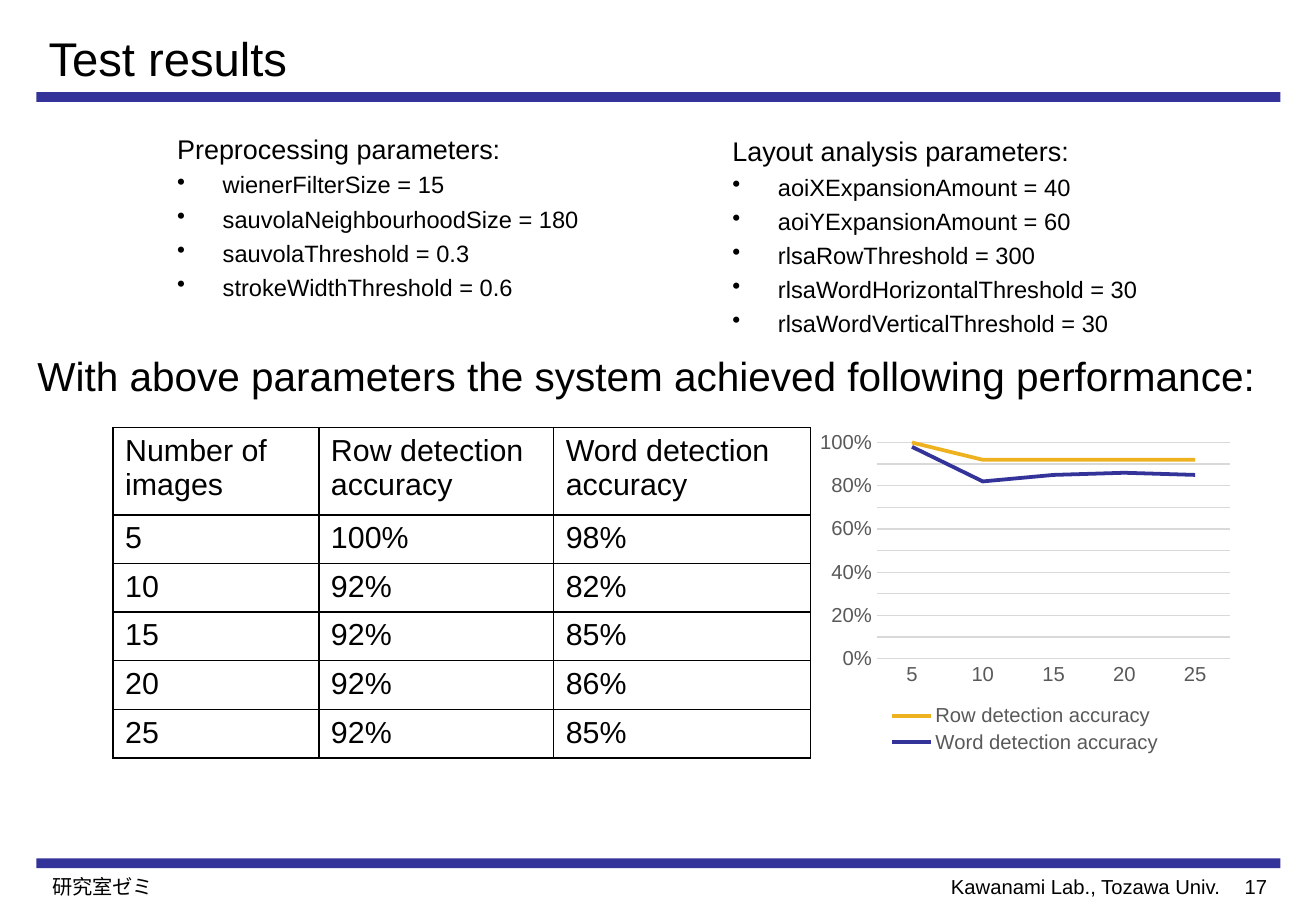
"""Build the test results slide with parameters, a table and a line chart."""
from dataclasses import dataclass

from lxml import etree
from pptx import Presentation
from pptx.chart.data import CategoryChartData
from pptx.dml.color import RGBColor
from pptx.enum.chart import XL_CHART_TYPE, XL_LEGEND_POSITION, XL_MARKER_STYLE, XL_TICK_MARK
from pptx.enum.shapes import MSO_SHAPE
from pptx.enum.text import MSO_ANCHOR, MSO_AUTO_SIZE, PP_ALIGN
from pptx.oxml.ns import qn
from pptx.util import Pt

LINE, BOTTOM = XL_CHART_TYPE.LINE, XL_LEGEND_POSITION.BOTTOM
NO_MARKER, NO_TICK = XL_MARKER_STYLE.NONE, XL_TICK_MARK.NONE
RECTANGLE, NO_AUTOFIT = MSO_SHAPE.RECTANGLE, MSO_AUTO_SIZE.NONE
TOP, MIDDLE = MSO_ANCHOR.TOP, MSO_ANCHOR.MIDDLE
LEFT, RIGHT = PP_ALIGN.LEFT, PP_ALIGN.RIGHT


@dataclass(frozen=True)
class Theme:
    """Colours, font and type sizes of the slide."""
    font: str = "Arial"
    ink: str = "000000"
    bar: str = "333399"
    row_line: str = "EEB220"
    word_line: str = "333399"
    grid: str = "D9D9D9"
    label: str = "595959"
    title: int = 28
    statement: int = 24
    cell: int = 18
    heading: int = 16
    item: int = 14
    small: int = 12


THEME = Theme()
TITLE = "Test results"
STATEMENT = "With above parameters the system achieved following performance:"
PARAMETERS = [
    ((97.9, 74.9, 253.4, 126.7), "Preprocessing parameters:", [
        "wienerFilterSize = 15",
        "sauvolaNeighbourhoodSize = 180",
        "sauvolaThreshold = 0.3",
        "strokeWidthThreshold = 0.6",
    ]),
    ((427, 76.3, 260, 126.7), "Layout analysis parameters:", [
        "aoiXExpansionAmount = 40",
        "aoiYExpansionAmount = 60",
        "rlsaRowThreshold = 300",
        "rlsaWordHorizontalThreshold = 30",
        "rlsaWordVerticalThreshold = 30",
    ]),
]
FOOTERS = [
    ("研究室ゼミ", (23.8, 514.8, 532.8, 21.6), {}),
    ("Kawanami Lab., Tozawa Univ.", (556.6, 514.8, 175, 21.6), {"anchor": MIDDLE, "wrap": False}),
    ("17", (722.9, 514.8, 35.3, 21.6), {"align": RIGHT}),
]
HEADERS = ["Number of images", "Row detection accuracy", "Word detection accuracy"]
RESULTS = [(5, 1, 0.98), (10, 0.92, 0.82), (15, 0.92, 0.85), (20, 0.92, 0.86), (25, 0.92, 0.85)]
COLUMN_WIDTHS = [122, 139.2, 152.4]
HEADER_HEIGHT, ROW_HEIGHT = 51.8, 27.4
BAR_TOPS = [54.6, 508.8]
BULLET_INDENT, SPACE_SHARE = 27, 0.24


def rgb(code):
    """Turn a hex code into a colour."""
    return RGBColor.from_string(code)


def points(lengths):
    """Convert lengths to points."""
    return [Pt(length) for length in lengths]


def format_font(font, size, color=THEME.ink):
    """Set the face, size and colour of a font."""
    font.name, font.size, font.bold = THEME.font, Pt(size), False
    font.color.rgb = rgb(color)


def write(frame, lines, size=THEME.item, heading_size=None, bullets=False,
          spaced=False, align=LEFT, anchor=TOP, wrap=True):
    """Write lines into a text frame, the first at the heading size if given."""
    frame.word_wrap, frame.vertical_anchor = wrap, anchor
    for index, line in enumerate(lines):
        para = frame.paragraphs[0] if index == 0 else frame.add_paragraph()
        line_size = heading_size if heading_size and index == 0 else size
        para.alignment = align
        if spaced:
            para.space_before = Pt(line_size * SPACE_SHARE)
        span = para.add_run()
        span.text = line
        format_font(span.font, line_size)
        if bullets and index > 0:
            properties = para._p.get_or_add_pPr()
            properties.set("marL", str(Pt(BULLET_INDENT)))
            properties.set("indent", str(-Pt(BULLET_INDENT)))
            etree.SubElement(properties, qn("a:buChar"), char="•")


def add_text(page, place, lines, **style):
    """Add a text box."""
    write(page.shapes.add_textbox(*points(place)).text_frame, lines, **style)


def add_bar(page, top):
    """Add a horizontal bar across the page."""
    bar = page.shapes.add_shape(RECTANGLE, *points((21.6, top, 737.3, 5.8)))
    bar.shadow.inherit = False
    bar.fill.solid()
    bar.fill.fore_color.rgb = rgb(THEME.bar)
    bar.line.fill.background()


def add_borders(cell):
    """Draw thin lines on the four sides of a cell."""
    properties = cell._tc.get_or_add_tcPr()
    for side in ("a:lnL", "a:lnR", "a:lnT", "a:lnB"):
        line = etree.SubElement(properties, qn(side), w=str(Pt(1)))
        fill = etree.SubElement(line, qn("a:solidFill"))
        etree.SubElement(fill, qn("a:srgbClr"), val=THEME.ink)


def add_results_table(page):
    """Add the accuracy table."""
    rows = [HEADERS] + [[str(count), f"{row:.0%}", f"{word:.0%}"] for count, row, word in RESULTS]
    heights = [HEADER_HEIGHT] + [ROW_HEIGHT] * len(RESULTS)
    place = points((67, 253.4, sum(COLUMN_WIDTHS), sum(heights)))
    table = page.shapes.add_table(len(rows), len(HEADERS), *place).table
    table.first_row = table.horz_banding = False
    for column, width in zip(table.columns, COLUMN_WIDTHS):
        column.width = Pt(width)
    for row, height, texts in zip(table.rows, heights, rows):
        row.height = Pt(height)
        for cell, text in zip(row.cells, texts):
            write(cell.text_frame, [text], size=THEME.cell)
            add_borders(cell)
            cell.fill.background()


def add_results_chart(page):
    """Add the accuracy line chart."""
    counts, *accuracies = zip(*RESULTS)
    data = CategoryChartData(number_format="0%")
    data.categories = [str(count) for count in counts]
    for name, values in zip(HEADERS[1:], accuracies):
        data.add_series(name, values)
    chart = page.shapes.add_chart(LINE, *points((481, 252, 253.4, 197.3)), data).chart
    chart.has_title = False
    format_font(chart.font, THEME.small, THEME.label)
    chart.has_legend = True
    chart.legend.position, chart.legend.include_in_layout = BOTTOM, False
    format_font(chart.legend.font, THEME.small, THEME.label)
    chart.plots[0].vary_by_categories = False
    for series, color in zip(chart.plots[0].series, (THEME.row_line, THEME.word_line)):
        series.smooth = False
        series.marker.style = NO_MARKER
        series.format.line.width = Pt(2.25)
        series.format.line.color.rgb = rgb(color)
    categories, percents = chart.category_axis, chart.value_axis
    for axis in (categories, percents):
        axis.major_tick_mark = axis.minor_tick_mark = NO_TICK
        format_font(axis.tick_labels.font, THEME.small, THEME.label)
    percents.minimum_scale, percents.maximum_scale, percents.major_unit = 0, 1, 0.1
    percents.tick_labels.number_format = "0%"
    percents.tick_labels.number_format_is_linked = False
    percents.format.line.fill.background()
    for line in (categories.format.line, percents.major_gridlines.format.line):
        line.width = Pt(0.75)
        line.color.rgb = rgb(THEME.grid)


def main():
    """Build and save the deck."""
    deck = Presentation()
    deck.slide_width, deck.slide_height = Pt(780), Pt(540)
    page = deck.slides.add_slide(deck.slide_layouts[5])
    for top in BAR_TOPS:
        add_bar(page, top)
    title = page.shapes.title
    title.left, title.top, title.width, title.height = points((21.6, 13.7, 730, 41))
    title.text_frame.auto_size = NO_AUTOFIT
    write(title.text_frame, [TITLE], size=THEME.title, anchor=MIDDLE)
    for text, place, style in FOOTERS:
        add_text(page, place, [text], size=THEME.small, **style)
    for place, heading, items in PARAMETERS:
        add_text(page, place, [heading] + items, heading_size=THEME.heading, bullets=True, spaced=True)
    add_text(page, (15.1, 204.5, 742.3, 33.1), [STATEMENT], size=THEME.statement, spaced=True)
    add_results_table(page)
    add_results_chart(page)
    deck.save("out.pptx")


if __name__ == "__main__":
    main()
